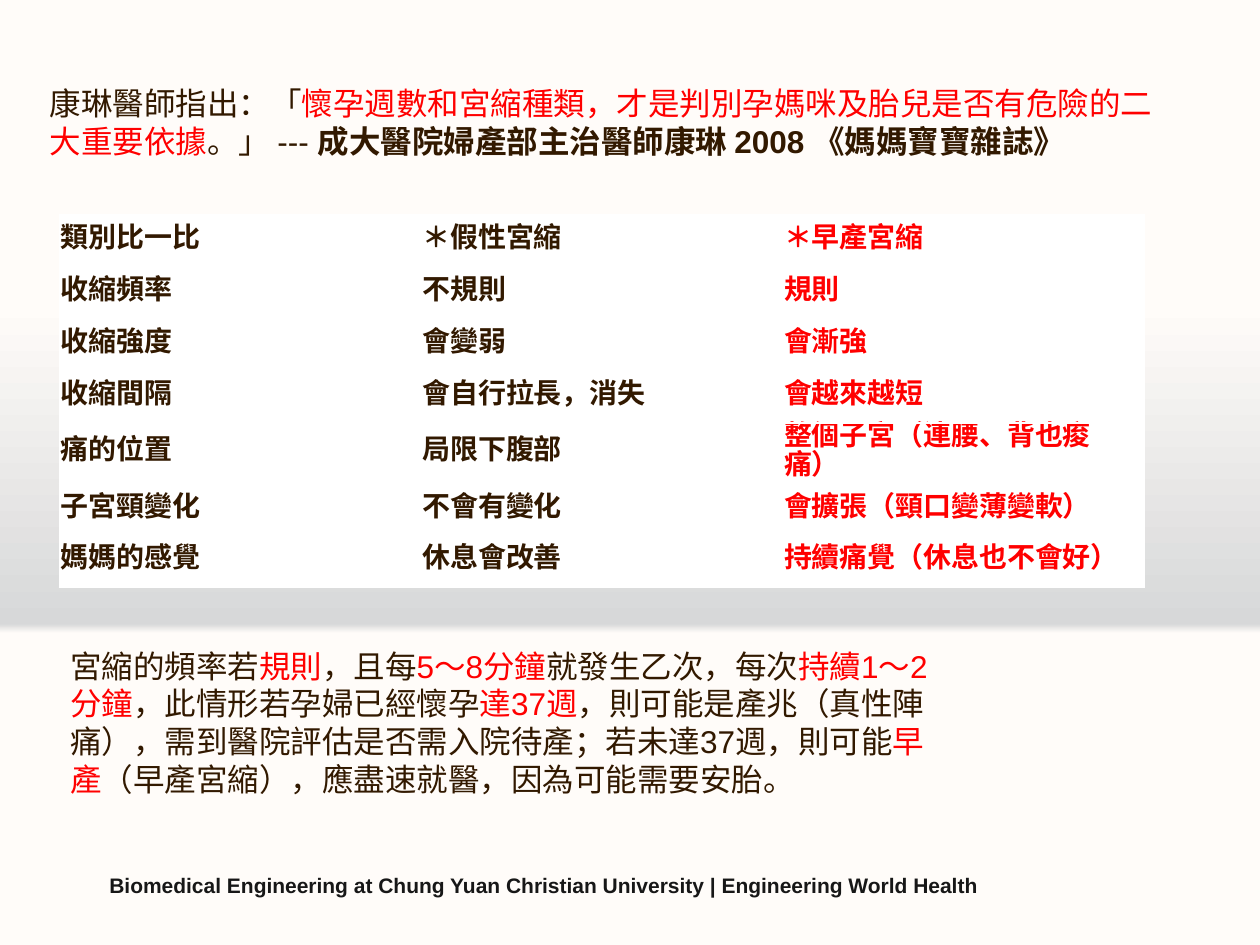
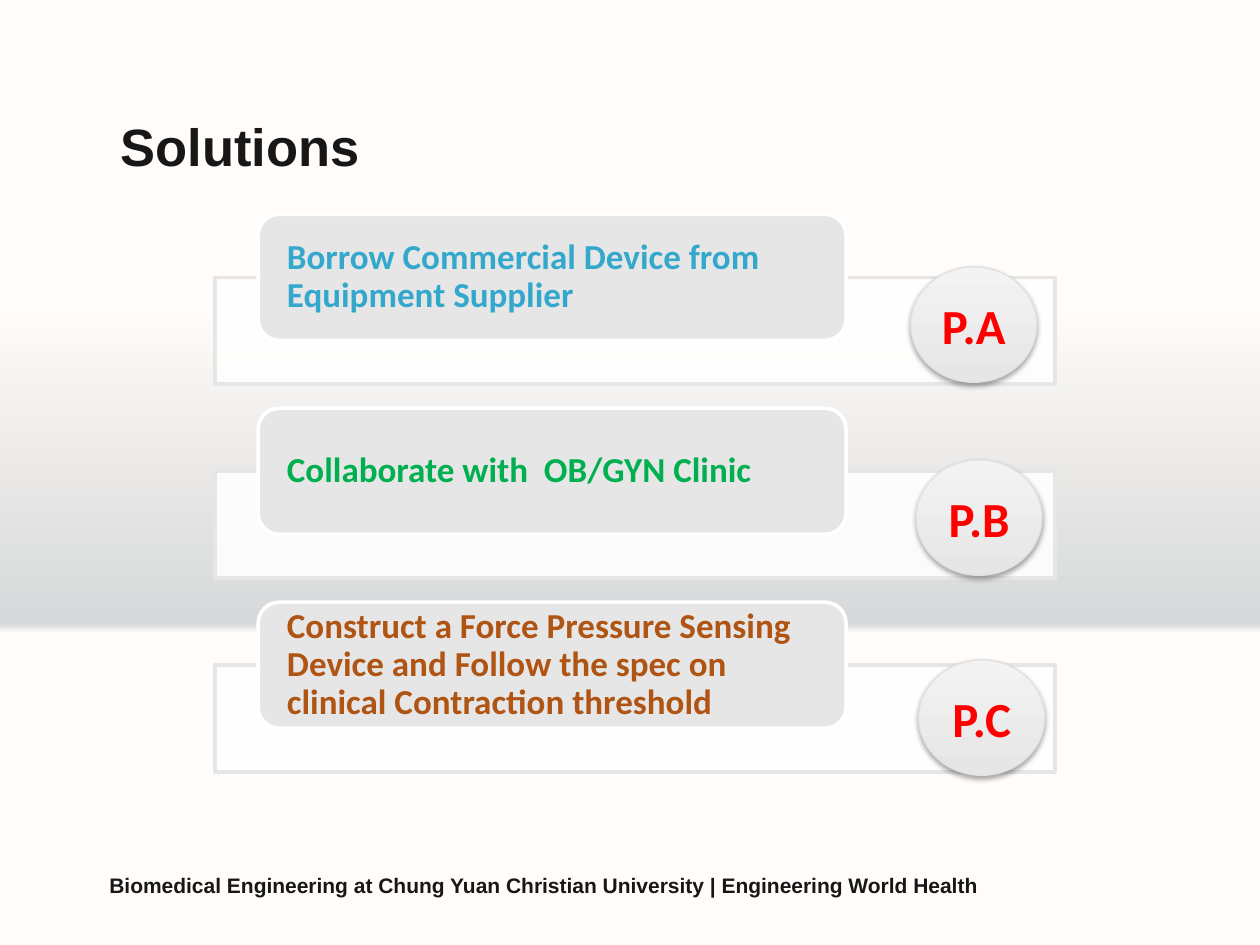
from copy import deepcopy
from dataclasses import dataclass

from lxml.etree import SubElement
from pptx import Presentation
from pptx.dml.color import RGBColor
from pptx.enum.shapes import MSO_SHAPE as Shape
from pptx.enum.text import MSO_ANCHOR as Anchor, MSO_AUTO_SIZE as AutoSize, PP_ALIGN as Align
from pptx.oxml.ns import qn
from pptx.util import Pt


@dataclass(frozen=True)
class Theme:
    sans: str = "Arial"
    calibri: str = "Calibri"
    ink: str = "321900"
    heading: str = "171717"
    alert: str = "FF0000"
    paper: str = "FFFCF9"
    horizon: str = "D7D8D9"
    white: str = "FFFFFF"
    panel: str = "E6E6E6"
    badge_top: str = "F3F3F3"
    badge_edge: str = "E1E1E1"
    blue: str = "34A8CC"
    green: str = "00B050"
    brown: str = "B05413"
    title_size: int = 30
    badge_size: int = 28
    option_size: int = 20
    text_size: int = 18
    table_size: int = 16
    footer_size: int = 12


THEME = Theme()
FOOTER = "Biomedical Engineering at Chung Yuan Christian University | Engineering World Health"

# Emphasised passages are flagged "alert" (red) or "bold"
QUOTE = [
    ("康琳醫師指出：「", ""),
    ("懷孕週數和宮縮種類，才是判別孕媽咪及胎兒是否有危險的二大重要依據", "alert"),
    ("。」 --- ", ""),
    ("成大醫院婦產部主治醫師康琳 2008 《媽媽寶寶雜誌》", "bold"),
]
ADVICE = [
    ("宮縮的頻率若", ""), ("規則", "alert"),
    ("，且每", ""), ("5～8分鐘", "alert"),
    ("就發生乙次，每次", ""), ("持續1～2分鐘", "alert"),
    ("，此情形若孕婦已經懷孕", ""), ("達37週", "alert"),
    ("，則可能是產兆（真性陣痛），需到醫院評估是否需入院待產；若未達37週，則可能", ""),
    ("早產", "alert"),
    ("（早產宮縮），應盡速就醫，因為可能需要安胎。", ""),
]
COMPARISON = [
    ("類別比一比", "＊假性宮縮", "＊早產宮縮"),
    ("收縮頻率", "不規則", "規則"),
    ("收縮強度", "會變弱", "會漸強"),
    ("收縮間隔", "會自行拉長，消失", "會越來越短"),
    ("痛的位置", "局限下腹部", "整個子宮（連腰、背也痠痛）"),
    ("子宮頸變化", "不會有變化", "會擴張（頸口變薄變軟）"),
    ("媽媽的感覺", "休息會改善", "持續痛覺（休息也不會好）"),
]
# Text, colour, badge label, badge offset within the row
SOLUTIONS = [
    ("Borrow Commercial Device from Equipment Supplier", THEME.blue, "P.A", (397.5, 30)),
    ("Collaborate with  OB/GYN Clinic", THEME.green, "P.B", (400.5, 29.5)),
    ("Construct a Force Pressure Sensing Device and Follow the spec on "
     "clinical Contraction threshold", THEME.brown, "P.C", (402, 33)),
]


def rgb(code):
    return RGBColor.from_string(code)


def points(box):
    return [Pt(value) for value in box]


def style(paragraph, font, size, color, bold=False):
    paragraph.font.name = font
    paragraph.font.size = Pt(size)
    paragraph.font.bold = bold
    paragraph.font.color.rgb = rgb(color)


def set_insets(frame, side, top):
    frame.margin_left = frame.margin_right = Pt(side)
    frame.margin_top = frame.margin_bottom = Pt(top)


def apply_gradient(fill, stops):
    """Vertical gradient; positions run from the bottom upwards."""
    fill.gradient()
    fill.gradient_angle = 90
    for _ in stops[2:]:
        last = fill.gradient_stops[-1]._gs
        last.addnext(deepcopy(last))
    for stop, (position, color) in zip(fill.gradient_stops, stops):
        stop.position = position
        stop.color.rgb = rgb(color)


def add_panel(slide, kind, box, fill, line, width):
    panel = slide.shapes.add_shape(kind, *points(box))
    panel.shadow.inherit = False
    panel.line.color.rgb = rgb(line)
    panel.line.width = Pt(width)
    if fill:
        panel.fill.solid()
        panel.fill.fore_color.rgb = rgb(fill)
    return panel


def add_text(slide, box):
    frame = slide.shapes.add_textbox(*points(box)).text_frame
    frame.word_wrap = True
    return frame


def add_footer(slide, box=(62.5, 490.5, 515, 31)):
    frame = add_text(slide, box)
    set_insets(frame, 0, 0)
    frame.vertical_anchor = Anchor.MIDDLE
    line = frame.paragraphs[0]
    line.text = FOOTER
    style(line, THEME.sans, THEME.footer_size, THEME.heading, True)


def add_title(slide, text, box):
    title = slide.shapes.title
    title.left, title.top, title.width, title.height = points(box)
    frame = title.text_frame
    frame.text = text
    frame.auto_size = AutoSize.NONE
    frame.vertical_anchor = Anchor.MIDDLE
    set_insets(frame, 0, 3.6)
    line = frame.paragraphs[0]
    line.alignment = Align.LEFT
    line.line_spacing = 0.95
    style(line, THEME.sans, THEME.title_size, THEME.heading, True)


def add_passage(slide, pieces, box):
    paragraph = add_text(slide, box).paragraphs[0]
    style(paragraph, THEME.sans, THEME.text_size, THEME.ink)
    for text, emphasis in pieces:
        run = paragraph.add_run()
        run.text = text
        if emphasis == "alert":
            run.font.color.rgb = rgb(THEME.alert)
        elif emphasis == "bold":
            run.font.bold = True


def add_comparison(slide, box):
    table = slide.shapes.add_table(len(COMPARISON), len(COMPARISON[0]), *points(box)).table
    table.first_row = table.horz_banding = False
    for r, row in enumerate(COMPARISON):
        for c, text in enumerate(row):
            cell = table.cell(r, c)
            cell.fill.solid()
            cell.fill.fore_color.rgb = rgb(THEME.white)
            cell.vertical_anchor = Anchor.MIDDLE
            set_insets(cell, 0.75, 0.75)
            entry = cell.text_frame.paragraphs[0]
            entry.text = text
            entry.line_spacing = Pt(16.5)
            color = THEME.alert if c == 2 else THEME.ink
            style(entry, THEME.calibri, THEME.table_size, color, True)


def add_badge(slide, label, box):
    badge = add_panel(slide, Shape.OVAL, box, None, THEME.badge_edge, 0.75)
    apply_gradient(badge.fill, [(0, THEME.panel), (1, THEME.badge_top)])
    # Soft shadow straight below
    effects = badge._element.spPr.find(qn("a:effectLst"))
    shadow = SubElement(effects, qn("a:outerShdw"), blurRad=str(Pt(3.1)), dist=str(Pt(1.8)),
                        dir="5400000", rotWithShape="0")
    black = SubElement(shadow, qn("a:srgbClr"), val="000000")
    SubElement(black, qn("a:alpha"), val="35000")
    badge.text_frame.word_wrap = False
    line = badge.text_frame.paragraphs[0]
    line.text = label
    line.alignment = Align.CENTER
    style(line, THEME.calibri, THEME.badge_size, THEME.alert, True)


def add_solution(slide, solution, left, top):
    text, color, label, (badge_x, badge_y) = solution
    # Translucent band behind the option
    band = add_panel(slide, Shape.RECTANGLE, (left, top + 36, 480, 61), THEME.white, THEME.panel, 2)
    band_color = band._element.spPr.find(qn("a:solidFill")).find(qn("a:srgbClr"))
    SubElement(band_color, qn("a:alpha"), val="90000")
    # Option text
    option = add_panel(slide, Shape.ROUNDED_RECTANGLE, (left + 24.5, top, 336, 72),
                       THEME.panel, THEME.white, 2)
    frame = option.text_frame
    frame.word_wrap = True
    frame.vertical_anchor = Anchor.MIDDLE
    set_insets(frame, 13, 0)
    line = frame.paragraphs[0]
    line.text = text
    line.alignment = Align.LEFT
    line.line_spacing = 0.9
    style(line, THEME.calibri, THEME.option_size, color, True)
    add_badge(slide, label, (left + badge_x, top + badge_y, 72, 66))


def build_contractions(prs):
    slide = prs.slides.add_slide(prs.slide_layouts[6])
    add_footer(slide)
    add_passage(slide, QUOTE, (21.5, 44.5, 656, 51))
    add_comparison(slide, (34, 123, 620, 208))
    add_passage(slide, ADVICE, (33, 366, 518, 94))


def build_solutions(prs):
    slide = prs.slides.add_slide(prs.slide_layouts[5])
    add_title(slide, "Solutions", (69, 61, 555, 47.5))
    add_footer(slide)
    for i, solution in enumerate(SOLUTIONS):
        add_solution(slide, solution, 123, 122.5 + 110.8 * i)


def main():
    prs = Presentation()
    prs.slide_width, prs.slide_height = Pt(720), Pt(540)
    # Shared background with a grey horizon
    apply_gradient(prs.slide_master.background.fill,
                   [(0.33, THEME.paper), (0.34, THEME.horizon), (0.68, THEME.paper)])
    build_contractions(prs)
    build_solutions(prs)
    prs.save("out.pptx")


if __name__ == "__main__":
    main()
